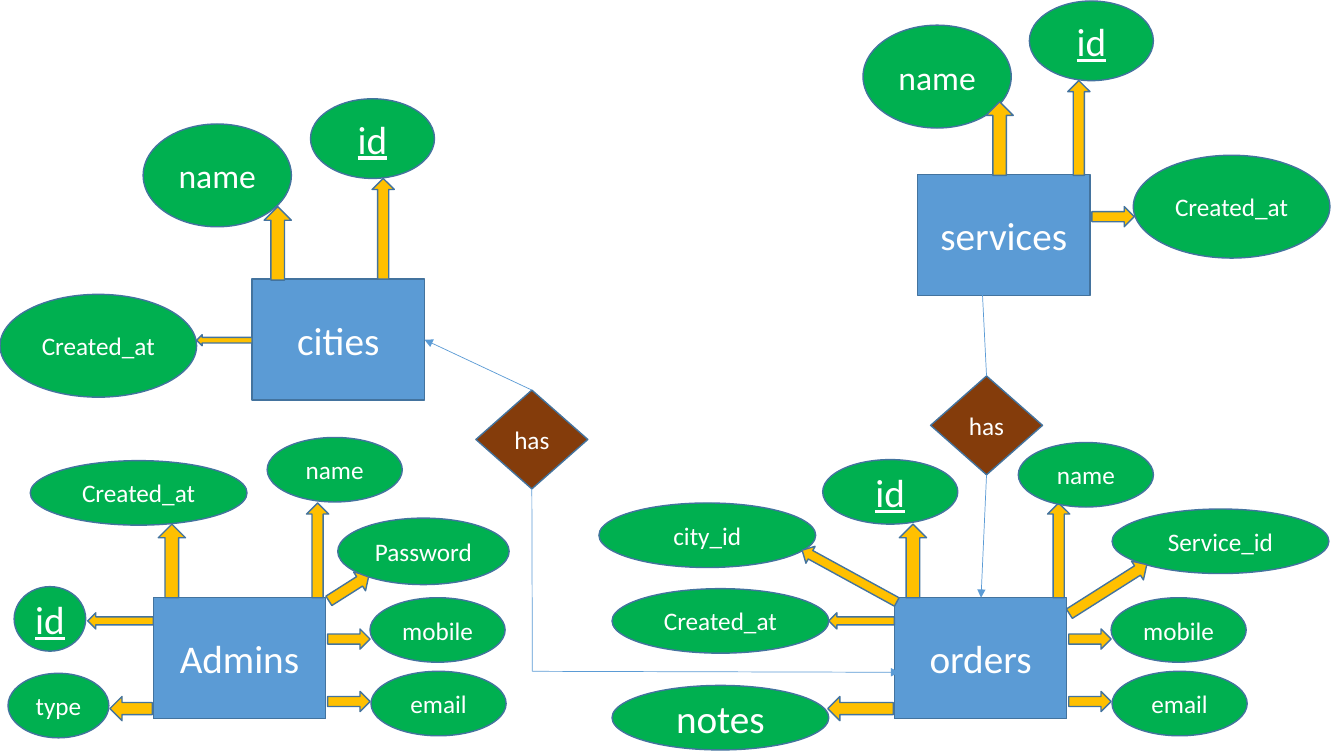
from collections import namedtuple

from lxml.etree import SubElement
from pptx import Presentation
from pptx.dml.color import RGBColor
from pptx.enum.shapes import MSO_CONNECTOR, MSO_SHAPE as SHAPE
from pptx.enum.text import MSO_ANCHOR, PP_ALIGN
from pptx.oxml.ns import qn
from pptx.util import Inches, Pt

BLUE = RGBColor(0x5B, 0x9B, 0xD5)
OUTLINE = RGBColor(0x43, 0x73, 0x9E)
GREEN = RGBColor(0x00, 0xB0, 0x50)
GOLD = RGBColor(0xFF, 0xC0, 0x00)
BROWN = RGBColor(0x84, 0x3C, 0x0B)
WHITE = RGBColor(0xFF, 0xFF, 0xFF)

ENTITY_SIZE = (1.71, 1.2)
RELATION_SIZE = (1.11, 0.98)
UP, LEFT, RIGHT = SHAPE.UP_ARROW, SHAPE.LEFT_ARROW, SHAPE.RIGHT_ARROW

# Positions of attributes and arrows are offsets from their entity's corner
Attribute = namedtuple("Attribute", "text x y width height points key", defaults=(18, False))
Arrow = namedtuple("Arrow", "kind x y width height rotation", defaults=(0,))


def add_node(page, kind, box, fill, text="", points=18, underline=False):
    node = page.shapes.add_shape(kind, *map(Inches, box))
    node.shadow.inherit = False
    node.fill.solid()
    node.fill.fore_color.rgb = fill
    node.line.color.rgb = OUTLINE
    node.line.width = Pt(1)
    if text:
        frame = node.text_frame
        frame.word_wrap = False
        frame.vertical_anchor = MSO_ANCHOR.MIDDLE
        para = frame.paragraphs[0]
        para.alignment = PP_ALIGN.CENTER
        span = para.add_run()
        span.text = text
        span.font.name = "Calibri"
        span.font.size = Pt(points)
        span.font.color.rgb = WHITE
        if underline:
            span.font.underline = True
    return node


def add_entity(page, left, top, name, parts):
    add_node(page, SHAPE.FLOWCHART_PROCESS, (left, top, *ENTITY_SIZE), BLUE, name, 28)
    for part in parts:
        box = (left + part.x, top + part.y, part.width, part.height)
        if isinstance(part, Attribute):
            add_node(page, SHAPE.OVAL, box, GREEN, part.text, part.points, part.key)
        else:
            add_node(page, part.kind, box, GOLD).rotation = part.rotation


def add_link(page, start, end, arrowhead=True):
    link = page.shapes.add_connector(MSO_CONNECTOR.STRAIGHT, *map(Inches, start + end))
    link.line.color.rgb = BLUE
    link.line.width = Pt(0.5)
    if arrowhead:
        SubElement(link.line._get_or_add_ln(), qn("a:tailEnd"), type="triangle")
    SubElement(link._element.spPr, qn("a:effectLst"))


def add_relation(page, left, top, routes):
    """Draw a diamond, with routes given as lists of points from its top and bottom."""
    width, height = RELATION_SIZE
    add_node(page, SHAPE.DIAMOND, (left, top, width, height), BROWN, "has")
    middle = left + width / 2
    for start_y, route in zip((top, top + height), routes):
        points = [(middle, start_y), *route]
        for start, end in zip(points, points[1:]):
            add_link(page, start, end, arrowhead=end == points[-1])


CITY_PARTS = [
    Attribute("id", 0.58, -1.79, 1.23, 0.79, 28, True),
    Attribute("name", -1.08, -1.54, 1.47, 1.02, 24),
    Attribute("Created_at", -2.5, 0.15, 1.95, 1.02),
    Arrow(UP, 1.19, -1, 0.22, 1),
    Arrow(UP, 0.12, -0.72, 0.27, 0.73),
    Arrow(LEFT, -0.55, 0.55, 0.55, 0.11),
]
SERVICE_PARTS = [
    Attribute("id", 1.11, -1.72, 1.23, 0.79, 28, True),
    Attribute("name", -0.54, -1.48, 1.47, 1.02, 24),
    Attribute("Created_at", 2.14, -0.19, 1.95, 1.02),
    Arrow(UP, 1.49, -0.93, 0.22, 0.94),
    Arrow(UP, 0.68, -0.72, 0.27, 0.73),
    Arrow(RIGHT, 1.73, 0.32, 0.42, 0.2),
]
# Parts that orders and Admins have in common
CONTACT_PARTS = [
    Arrow(UP, 1.52, -0.94, 0.22, 0.94),
    Arrow(UP, 0.05, -0.73, 0.27, 0.73),
    Arrow(RIGHT, 1.73, 0.31, 0.42, 0.2),
    Arrow(RIGHT, 1.73, 0.93, 0.42, 0.2),
    Arrow(LEFT, -0.65, 0.15, 0.65, 0.16),
    Attribute("mobile", 2.15, 0, 1.34, 0.64),
    Attribute("email", 2.16, 0.73, 1.34, 0.64),
]
ORDER_PARTS = CONTACT_PARTS + [
    Attribute("id", -0.71, -1.37, 1.34, 0.64, 28, True),
    Attribute("name", 1.23, -1.54, 1.34, 0.64),
    Attribute("Created_at", -2.8, -0.09, 2.15, 0.64),
    Attribute("notes", -2.8, 0.87, 2.15, 0.64, 28),
    Arrow(LEFT, -0.66, 0.98, 0.65, 0.24),
    Attribute("Service_id", 2.16, -0.88, 2.15, 0.64),
    Arrow(UP, 2.01, -0.54, 0.22, 0.91, 57.6),
    Attribute("city_id", -2.93, -0.94, 2.15, 0.64),
    Arrow(UP, -0.54, -0.75, 0.19, 1.07, 298.7),
]
ADMIN_PARTS = CONTACT_PARTS + [
    Attribute("id", -1.38, -0.11, 0.71, 0.64, 28, True),
    Arrow(LEFT, -0.43, 0.98, 0.42, 0.24),
    Arrow(UP, 1.83, -0.33, 0.22, 0.47, 57.6),
    Attribute("name", 1.13, -1.59, 1.34, 0.64),
    Attribute("Password", 1.83, -0.79, 1.7, 0.66),
    Attribute("Created_at", -1.22, -1.36, 2.15, 0.64),
    Attribute("type", -1.44, 0.75, 1, 0.64),
]

deck = Presentation()
deck.slide_width, deck.slide_height = Inches(13.33), Inches(7.5)
page = deck.slides.add_slide(deck.slide_layouts[6])

# Entities with their attributes
add_entity(page, 2.5, 2.77, "cities", CITY_PARTS)
add_entity(page, 9.1, 1.73, "services", SERVICE_PARTS)
add_entity(page, 8.87, 5.93, "orders", ORDER_PARTS)
add_entity(page, 1.52, 5.93, "Admins", ADMIN_PARTS)

# Relations: services to orders, cities to orders
add_relation(page, 9.23, 3.73, [[(9.74, 2.83)], [(9.73, 5.93)]])
add_relation(page, 4.72, 3.87, [[(4.21, 3.37)], [(5.28, 6.66), (8.92, 6.67)]])

deck.save("out.pptx")
